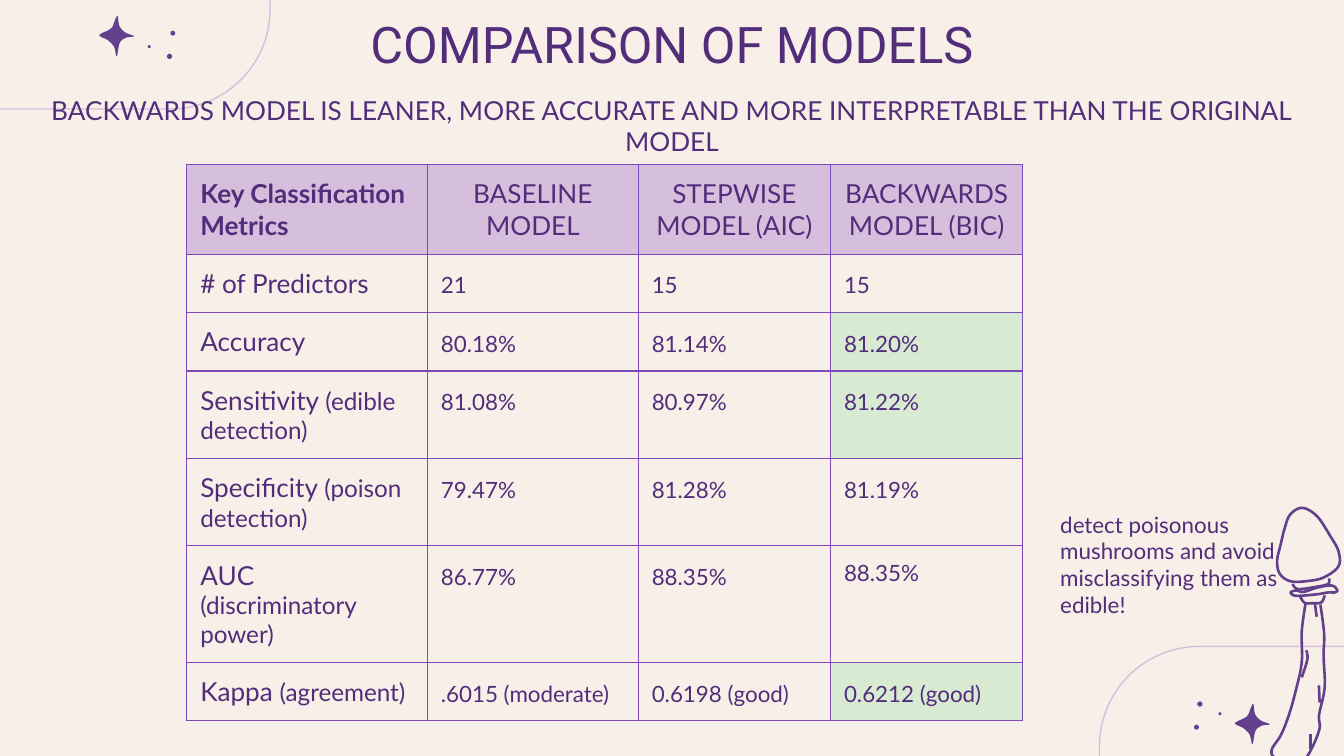
from lxml import etree
from pptx import Presentation
from pptx.dml import color as dml
from pptx.enum import shapes, text
from pptx.oxml import ns
from pptx.util import Pt

INK, PURPLE, LILAC = "512D7A", "633F8C", "D6BEDD"
BORDER, GREEN, CREAM = "7E49BB", "D9EAD3", "F8EFE9"
INSET = 7.2

COLUMNS = [128.9, 113, 103, 103]
ROW_HEIGHT = 28.1
HEADERS = ["Key Classification Metrics", "BASELINE MODEL",
           "STEPWISE MODEL (AIC)", "BACKWARDS MODEL (BIC)"]
METRICS = [
    ("# of Predictors", "", ["21", "15", "15"]),
    ("Accuracy", "", ["80.18%", "81.14%", "81.20%"]),
    ("Sensitivity ", "(edible detection)", ["81.08%", "80.97%", "81.22%"]),
    ("Specificity ", "(poison detection)", ["79.47%", "81.28%", "81.19%"]),
    ("AUC ", "(discriminatory power)", ["86.77%", "88.35%", "88.35%"]),
    ("Kappa ", "(agreement)", [".6015 (moderate)", "0.6198 (good)", "0.6212 (good)"]),
]
BEST = {"81.20%", "81.22%", "0.6212 (good)"}

SPARKLE = [(0.5, -10.8), (1.4, -5.5), (4.5, -2), (9.3, 0), (5, 0.8), (1.6, 3.6),
           (0, 10.8), (-1.5, 5.6), (-5, 2), (-9.3, -0.6), (-3, -4.2), (-0.8, -9)]
DOTS = [(28.2, 10.8, 2.8), (30, -1.6, 2.6), (17.4, 5.6, 1.6)]

CAP = [(17.3, 0.7), (10.8, 4.3), (7.9, 11.5), (5.8, 20), (3.8, 29), (5.2, 36), (10.8, 40),
       (19.4, 40), (28.8, 38), (36.7, 32), (36.7, 24), (32.4, 16), (25.2, 5.2)]
RING = [(11, 46), (14, 45), (18, 45.7), (25, 43.5), (33, 42.3), (36, 44.8),
        (34.5, 46), (31, 46), (25, 47), (14, 47.8)]
STEM = [(19, 52), (17, 67), (17, 83.5), (13.7, 99), (10, 112), (5.8, 122.5), (1, 130),
        (2.5, 134.5), (12.2, 139), (19.5, 134.5), (26.3, 120), (26.3, 111.5),
        (29.3, 97), (28.7, 80), (29, 68), (27, 52.5)]
CREASES = [
    [(12, 41.5), (15, 44.2), (24.5, 43), (31, 41.5), (31.7, 38.5)],
    [(16, 48), (18.5, 51.5), (22.5, 51.8), (27.5, 51.3), (29.3, 47.5)],
    [(19.5, 77), (20, 82), (17, 91.5)],
    [(26.2, 95.8), (26.6, 105)],
    [(24, 52), (25, 59)],
    [(21.6, 121.7), (21.6, 129.6)],
]


def rgb(value):
    """Turn a hex string into a colour."""
    return dml.RGBColor.from_string(value)


def paint(shape, fill=None, line=None, width=0.75):
    """Set fill and line and drop the shadow."""
    shape.shadow.inherit = False
    for part, value in ((shape.fill, fill), (shape.line.fill, line)):
        if value:
            part.solid()
            part.fore_color.rgb = rgb(value)
        else:
            part.background()
    if line:
        shape.line.width = Pt(width)


def smooth(points, closed, steps=5):
    """Sample a Catmull-Rom curve through the points."""
    count = len(points)
    pick = (lambda i: points[i % count]) if closed else (
        lambda i: points[min(max(i, 0), count - 1)])
    curve = []
    for i in range(count if closed else count - 1):
        near = [pick(i + k) for k in (-1, 0, 1, 2)]
        for step in range(steps):
            t = step / steps
            curve.append(tuple(
                b + ((c - a) * t + (2 * a - 5 * b + 4 * c - d) * t ** 2
                     + (3 * b - a - 3 * c + d) * t ** 3) / 2
                for a, b, c, d in zip(*near)))
    return curve if closed else curve + [points[-1]]


def add_curve(slide, left, top, points, closed, **look):
    """Draw a smooth outline relative to left and top."""
    vertices = [(Pt(left + x), Pt(top + y)) for x, y in smooth(points, closed)]
    builder = slide.shapes.build_freeform(*vertices[0])
    builder.add_line_segments(vertices[1:], close=closed)
    paint(builder.convert_to_shape(), **look)


def add_corner(slide, left, top, width, height, center, sign):
    """Draw a rounded corner frame with a sparkle and dots."""
    frame = slide.shapes.add_shape(
        shapes.MSO_SHAPE.ROUNDED_RECTANGLE, Pt(left), Pt(top), Pt(width), Pt(height))
    frame.adjustments[0] = 0.47
    paint(frame, line=LILAC)
    x, y = center
    add_curve(slide, x, y, SPARKLE, True, fill=PURPLE)
    for dx, dy, size in DOTS:
        dot = slide.shapes.add_shape(
            shapes.MSO_SHAPE.OVAL, Pt(x + sign * dx - size / 2),
            Pt(y + sign * dy - size / 2), Pt(size), Pt(size))
        paint(dot, fill=PURPLE)


def add_mushroom(slide, left, top):
    """Draw the mushroom line art from its top-left corner."""
    for outline in (CAP, RING):
        add_curve(slide, left, top, outline, True, line=PURPLE, width=1.4)
    for stroke in [STEM] + CREASES:
        add_curve(slide, left, top, stroke, False, line=PURPLE, width=1.4)


def write(paragraph, content, size, name="Lato", bold=False):
    """Append a formatted run to a paragraph."""
    run = paragraph.add_run()
    run.text = content
    for key, value in {"size": Pt(size), "name": name, "bold": bold}.items():
        setattr(run.font, key, value)
    run.font.color.rgb = rgb(INK)


def add_text(slide, left, top, width, height, content, size, align, name="Lato"):
    """Place a wrapped text box."""
    box = slide.shapes.add_textbox(Pt(left), Pt(top), Pt(width), Pt(height))
    frame = box.text_frame
    layout = dict.fromkeys(
        ("margin_left", "margin_top", "margin_right", "margin_bottom"), Pt(INSET))
    layout.update(word_wrap=True, auto_size=text.MSO_AUTO_SIZE.SHAPE_TO_FIT_TEXT)
    for key, value in layout.items():
        setattr(frame, key, value)
    paragraph = frame.paragraphs[0]
    paragraph.alignment = align
    write(paragraph, content, size, name)


def style_cell(cell, fill=None):
    """Give a cell its margins, borders and fill."""
    for side in ("left", "top", "right", "bottom"):
        setattr(cell, f"margin_{side}", Pt(INSET))
    properties = cell._tc.get_or_add_tcPr()
    for tag in ("a:lnL", "a:lnR", "a:lnT", "a:lnB"):
        line = etree.SubElement(properties, ns.qn(tag), w=str(Pt(0.75)))
        solid = etree.SubElement(line, ns.qn("a:solidFill"))
        etree.SubElement(solid, ns.qn("a:srgbClr"), val=BORDER)
    if fill:
        cell.fill.solid()
        cell.fill.fore_color.rgb = rgb(fill)
    else:
        cell.fill.background()


def add_metrics(slide, left, top):
    """Build the table comparing the models."""
    rows = len(METRICS) + 1
    table = slide.shapes.add_table(
        rows, len(COLUMNS), Pt(left), Pt(top), Pt(sum(COLUMNS)), Pt(rows * ROW_HEIGHT)).table
    table.first_row = table.horz_banding = False
    for column, width in zip(table.columns, COLUMNS):
        column.width = Pt(width)
    for row in table.rows:
        row.height = Pt(ROW_HEIGHT)
    for index, header in enumerate(HEADERS):
        cell = table.cell(0, index)
        style_cell(cell, LILAC)
        paragraph = cell.text_frame.paragraphs[0]
        paragraph.alignment = text.PP_ALIGN.CENTER if index else text.PP_ALIGN.LEFT
        write(paragraph, header, 14, bold=index == 0)
    for row, (label, note, values) in enumerate(METRICS, 1):
        cell = table.cell(row, 0)
        style_cell(cell)
        write(cell.text_frame.paragraphs[0], label, 14)
        if note:
            write(cell.text_frame.paragraphs[0], note, 13)
        for column, value in enumerate(values, 1):
            cell = table.cell(row, column)
            style_cell(cell, GREEN if value in BEST else None)
            paragraph = cell.text_frame.paragraphs[0]
            paragraph.line_spacing = 1.0 if (row, column) == (5, 3) else 1.15
            write(paragraph, value, 12)


def main():
    """Build and save the slide."""
    presentation = Presentation()
    presentation.slide_width, presentation.slide_height = Pt(720), Pt(405)
    slide = presentation.slides.add_slide(presentation.slide_layouts[6])
    slide.background.fill.solid()
    slide.background.fill.fore_color.rgb = rgb(CREAM)
    add_corner(slide, 589, 346.3, 195.8, 113.8, (671, 388), -1)
    add_corner(slide, -51.1, -55.4, 195.8, 113.8, (62.6, 19.4), 1)
    add_text(slide, 0, 0, 720, 47.5, "COMPARISON OF MODELS", 27,
             text.PP_ALIGN.CENTER, "Roboto")
    add_text(slide, 0, 43.2, 720, 31.7,
             "BACKWARDS MODEL IS LEANER, MORE ACCURATE AND MORE INTERPRETABLE "
             "THAN THE ORIGINAL MODEL", 14, text.PP_ALIGN.CENTER)
    add_metrics(slide, 100.1, 88.2)
    add_mushroom(slide, 680.4, 271.4)
    add_text(slide, 560.9, 266.4, 145.4, 72.7,
             "detect poisonous mushrooms and avoid misclassifying them as edible!",
             12, text.PP_ALIGN.LEFT)
    presentation.save("out.pptx")


if __name__ == "__main__":
    main()
